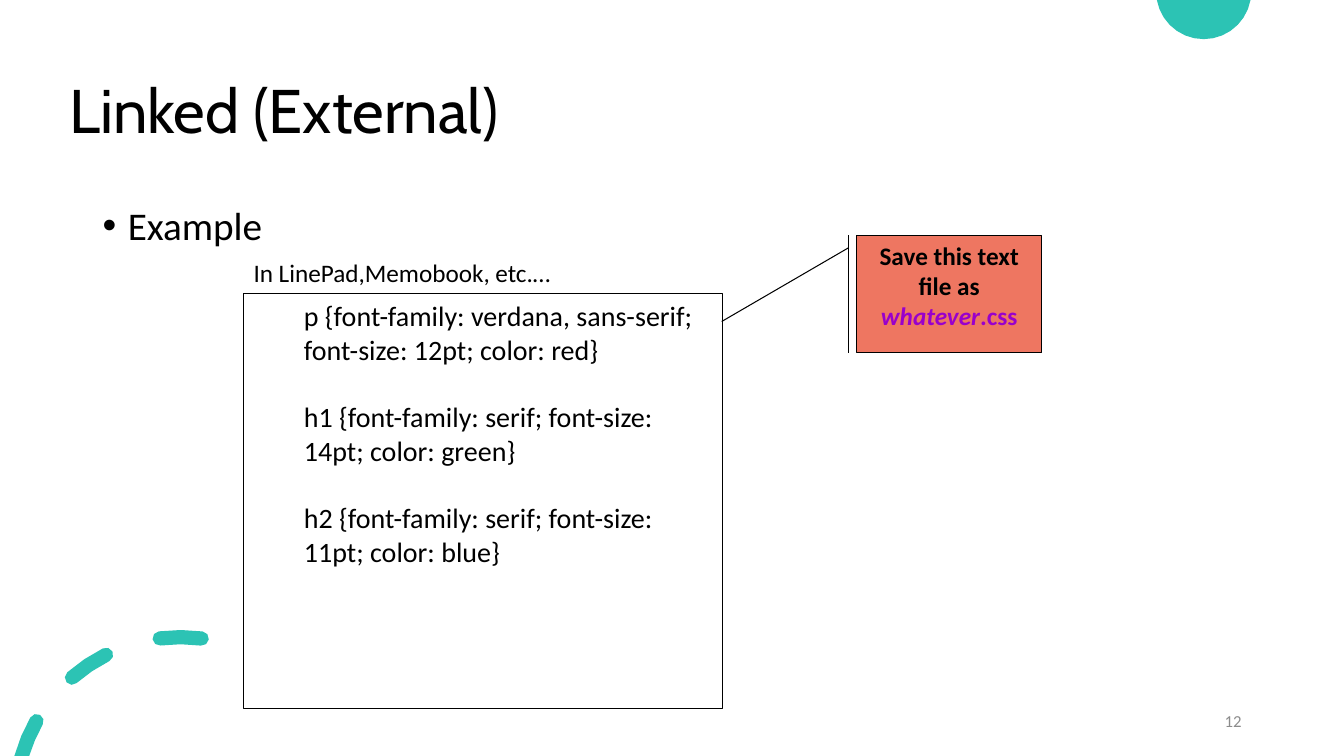
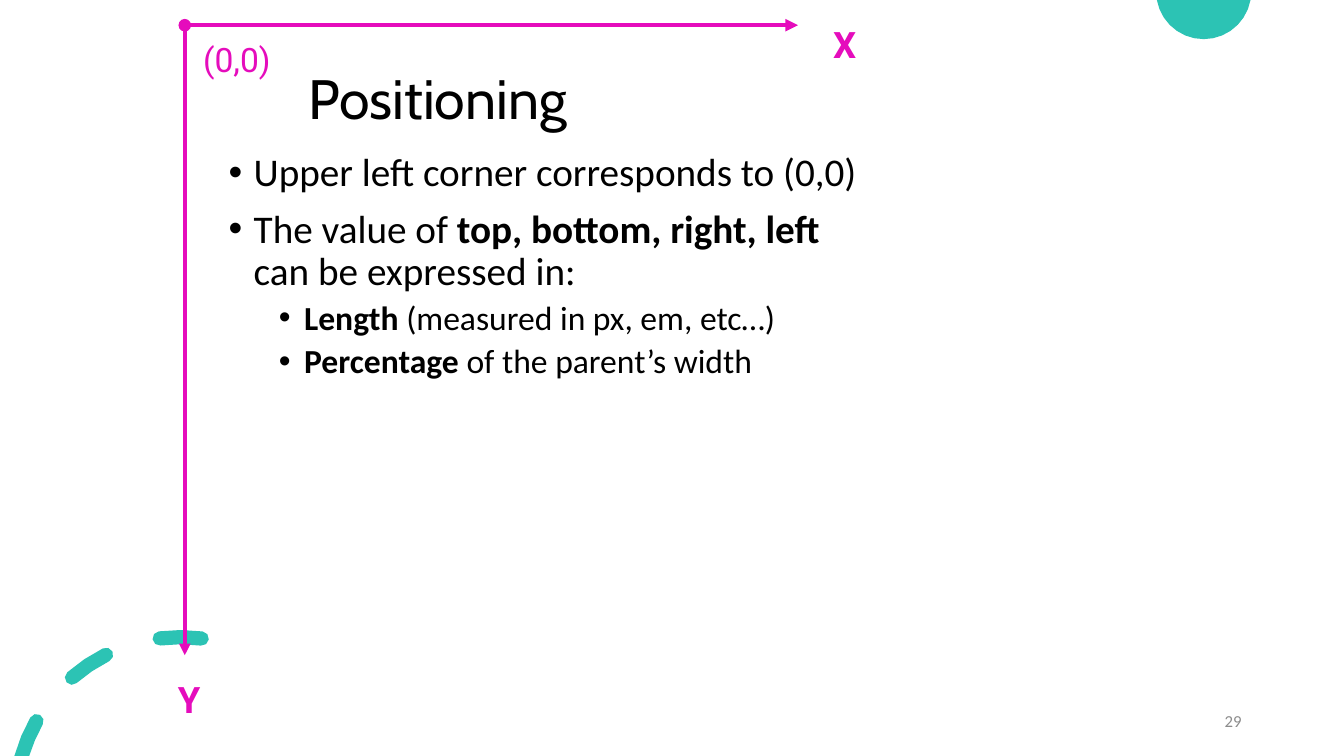
from dataclasses import dataclass
from math import acos, cos, degrees, radians, sin

from lxml import etree
from pptx import Presentation
from pptx import util as u
from pptx.dml import color as clr
from pptx.enum import shapes, text
from pptx.oxml import ns

Pt = u.Pt


@dataclass(frozen=True)
class Theme:
    """Colours, fonts and type sizes of the deck."""
    ink: str = "000000"
    teal: str = "2CC3B4"
    coral: str = "EE7661"
    violet: str = "9900CC"
    magenta: str = "E50CBC"
    grey: str = "8C8C8C"
    head: str = "Cabin"
    body: str = "Calibri"
    label: str = "Roboto"
    title: float = 44
    title_small: float = 39.6
    level1: float = 28
    axis: float = 26
    level2: float = 24
    code: float = 20
    note: float = 18
    page: float = 12


T = Theme()
W, H = 960, 540


def rgb(value):
    """Turn a hex string into a colour."""
    return clr.RGBColor.from_string(value)


def sub(parent, tag, **attrs):
    """Append a DrawingML element."""
    return etree.SubElement(parent, ns.qn(tag), **attrs)


def write(tf, runs, size, font=T.body, color=T.ink, bold=False, align=None,
          left=0, hang=0, line=None, before=0):
    """Add one paragraph: a string, or (text, overrides) runs; hang adds a bullet."""
    first = tf.paragraphs[0]
    p = tf.add_paragraph() if first.runs else first
    p.alignment = align or text.PP_ALIGN.LEFT
    p.line_spacing = line
    p.space_before = Pt(before)
    pPr = p._p.get_or_add_pPr()
    pPr.set("marL", str(Pt(left)))
    pPr.set("indent", str(Pt(-hang)))
    if hang:
        sub(pPr, "a:buFont", typeface="Arial")
        sub(pPr, "a:buChar", char="•")
    for words, over in [(runs, {})] if isinstance(runs, str) else runs:
        if words == "\n":
            p.add_line_break()
            continue
        r = p.add_run()
        r.text = words
        r.font.name = font
        r.font.size = Pt(size)
        r.font.bold = over.get("bold", bold)
        r.font.italic = over.get("italic", False)
        r.font.color.rgb = rgb(over.get("color", color))


def frame(sp, anchor=text.MSO_ANCHOR.TOP):
    """Return a shape's wrapping text frame."""
    tf = sp.text_frame
    tf.word_wrap = True
    tf.vertical_anchor = anchor
    return tf


def text_box(parent, box, anchor=text.MSO_ANCHOR.TOP):
    """Add a text box and return its frame."""
    return frame(parent.add_textbox(*map(Pt, box)), anchor)


def panel(parent, kind, box, fill=None):
    """Add a preset shape with a thin black outline."""
    sp = parent.add_shape(kind, *map(Pt, box))
    sp.shadow.inherit = False
    if fill:
        sp.fill.solid()
        sp.fill.fore_color.rgb = rgb(fill)
    else:
        sp.fill.background()
    sp.line.color.rgb = rgb(T.ink)
    sp.line.width = Pt(0.75)
    return sp


def arc(cx, cy, r, start, end, steps):
    """Points on an arc; angles run clockwise from straight up."""
    angles = [radians(start + (end - start) * i / steps) for i in range(steps + 1)]
    return [(cx + r * sin(a), cy - r * cos(a)) for a in angles]


def outline(s, contours):
    """Draw closed teal contours as one shape."""
    contours = [[(Pt(x), Pt(y)) for x, y in points] for points in contours]
    fb = s.shapes.build_freeform(*contours[0][0], scale=1.0)
    for i, points in enumerate(contours):
        if i:
            fb.move_to(*points[0])
        fb.add_line_segments(points[1:], close=True)
    sp = fb.convert_to_shape()
    sp.shadow.inherit = False
    sp.fill.solid()
    sp.fill.fore_color.rgb = rgb(T.teal)
    sp.line.fill.background()


def dash(start, end, cx=128.9, cy=573.2, r=118.1, half=5.1):
    """Outline one round-ended dash of the corner ring, cut at the slide's edge."""
    def visible(radius):
        return max(start, -degrees(acos((cy - H) / radius)))

    def cap(angle, turn):
        middle = arc(cx, cy, r, angle, angle, 1)[0]
        return arc(*middle, half, angle + turn, angle + turn + 180, 4)[1:-1]

    outer, inner = r + half, r - half
    points = arc(cx, cy, outer, visible(outer), end, 2) + cap(end, 0)
    points += arc(cx, cy, inner, end, visible(inner), 2)
    return points + (cap(start, 180) if visible(inner) == start else [])


def base_slide(prs, number, title, box, size):
    """Add a slide with its decoration, page number and title."""
    s = prs.slides.add_slide(prs.slide_layouts[6])
    radius, rise = 34, 6
    edge = degrees(acos(-rise / radius))
    outline(s, [arc(859.8, -rise, radius, edge, 360 - edge, 14)])
    outline(s, [dash(*span) for span in ((-90, -60.5), (-41, -26.7), (-7.2, 7.4))])
    middle = text.MSO_ANCHOR.MIDDLE
    write(text_box(s.shapes, (678, 500.4, 216, 28.8), middle), str(number), T.page,
          color=T.grey, align=text.PP_ALIGN.RIGHT)
    write(text_box(s.shapes, box, middle), title, size, font=T.head, line=0.9)
    return s


def bullets(s, box, items):
    """Place (level, runs) items as a bulleted list."""
    tf = text_box(s.shapes, box)
    for level, runs in items:
        write(tf, runs, (T.level1, T.level2)[level], left=18 + 36 * level, hang=18,
              line=0.9, before=(10, 5)[level])


def code_example(s, box, caption, rules, note):
    """Place a captioned code panel with a callout at the box's top right."""
    x, y, w, h = box
    panel_top, note_w = 42, 132
    code = panel(s.shapes, shapes.MSO_SHAPE.RECTANGLE,
                 (x, y + panel_top, 342, h - panel_top))
    tf = frame(code)
    for i, rule in enumerate(rules):
        write(tf, rule, T.code, left=36, before=24 if i else 0)
    callout = panel(s.shapes, shapes.MSO_SHAPE.LINE_CALLOUT_1_BORDER_AND_ACCENT_BAR,
                    (x + w - note_w, y, note_w, 84), T.coral)
    for i, value in enumerate((0.107, -0.045, 0.734, -0.731)):
        callout.adjustments[i] = value
    write(frame(callout), note, T.note, bold=True, align=text.PP_ALIGN.CENTER)
    write(text_box(s.shapes, (x, y + 12, 270, 29)), caption, T.note)


def axis(parent, start, end, width):
    """Draw an axis from a dot to an arrowhead."""
    ln = parent.add_connector(shapes.MSO_CONNECTOR.STRAIGHT, *map(Pt, start + end))
    ln.line.color.rgb = rgb(T.magenta)
    ln.line.width = Pt(width)
    props = ln.line._get_or_add_ln()
    sub(props, "a:headEnd", type="oval")
    sub(props, "a:tailEnd", type="triangle")
    sub(ln._element.spPr, "a:effectLst")


def axes(s, box):
    """Draw labelled x and y axes along the box's top and left edges."""
    x, y, w, h = box
    parent = s.shapes.add_group_shape().shapes
    write(text_box(parent, (x + 6, y + 6, 96, 36)), "(0,0)", T.level2,
          font=T.label, color=T.magenta)
    axis(parent, (x, y), (x + w, y), 3)
    axis(parent, (x, y), (x, y + h), 2.75)
    for name, left, top in (("Y", x - 12, y + h + 12), ("X", x + w + 18, y - 6)):
        write(text_box(parent, (left, top, 30, 38)), name, T.axis,
              font=T.label, color=T.magenta, bold=True)


def linked_slide(prs):
    """Build the external style sheet slide."""
    s = base_slide(prs, 12, "Linked (External)", (42.5, 28.8, 828, 104.4), T.title)
    bullets(s, (66.2, 144, 774, 304), [(0, "Example")])
    code_example(
        s, (174, 168, 570, 338), "In LinePad,Memobook, etc.…",
        ["p {font-family: verdana, sans-serif; font-size: 12pt; color: red}",
         "h1 {font-family: serif; font-size: 14pt; color: green}",
         "h2 {font-family: serif; font-size: 11pt; color: blue}"],
        [("Save this text file as ", {}),
         ("whatever", {"color": T.violet, "italic": True}),
         (".css", {"color": T.violet})])


def positioning_slide(prs):
    """Build the positioning slide."""
    s = base_slide(prs, 29, "Positioning", (213.2, 49, 295.2, 46.8), T.title_small)
    strong = {"bold": True}
    bullets(s, (156.2, 105.8, 651, 213), [
        (0, "Upper left corner corresponds to (0,0)"),
        (0, [("The value of ", {}), ("top, bottom, right, left ", strong),
             ("\n", {}), ("can be expressed in:", {})]),
        (1, [("Length", strong), (" (measured in px, em, etc…)", {})]),
        (1, [("Percentage ", strong), ("of the parent’s width", {})])])
    axes(s, (132, 18, 438, 450))


def main():
    """Build and save the deck."""
    prs = Presentation()
    prs.slide_width, prs.slide_height = Pt(W), Pt(H)
    linked_slide(prs)
    positioning_slide(prs)
    prs.save("out.pptx")


main()
